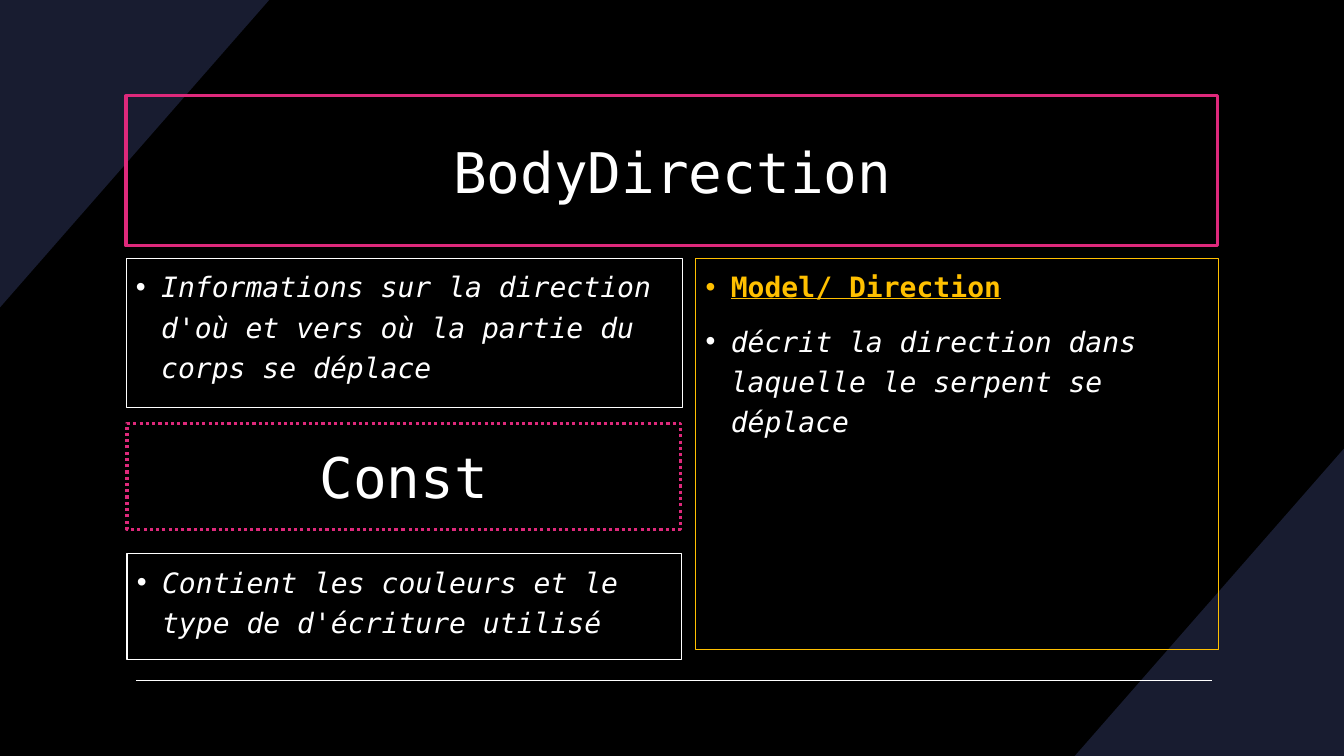
from lxml import etree
from pptx import Presentation
from pptx.dml.color import RGBColor
from pptx.enum.dml import MSO_LINE
from pptx.enum.shapes import MSO_CONNECTOR, MSO_SHAPE
from pptx.enum.text import MSO_ANCHOR, PP_ALIGN
from pptx.oxml.ns import qn
from pptx.util import Inches, Pt

RECTANGLE = MSO_SHAPE.RECTANGLE
STRAIGHT = MSO_CONNECTOR.STRAIGHT
DOTTED = MSO_LINE.ROUND_DOT
TOP, MIDDLE = MSO_ANCHOR.TOP, MSO_ANCHOR.MIDDLE
LEFT, CENTER = PP_ALIGN.LEFT, PP_ALIGN.CENTER

WIDTH, HEIGHT = 13.33, 7.5
CORNER_WIDTH, CORNER_HEIGHT = 2.67, 3.05
FONT = "DejaVu Sans Mono"
BLACK, WHITE, NAVY, PINK, AMBER = "000000", "FFFFFF", "181C30", "DE297B", "FFC000"


def color(hex_string):
    return RGBColor.from_string(hex_string)


def add_corner(slide, x, y, x_direction, y_direction):
    """Fill a triangle whose right angle is at the slide corner (x, y)."""
    builder = slide.shapes.build_freeform(Inches(x), Inches(y))
    builder.add_line_segments([
        (Inches(x + x_direction * CORNER_WIDTH), Inches(y)),
        (Inches(x), Inches(y + y_direction * CORNER_HEIGHT)),
    ])
    triangle = builder.convert_to_shape()
    triangle.shadow.inherit = False
    triangle.fill.solid()
    triangle.fill.fore_color.rgb = color(NAVY)
    triangle.line.fill.background()


def add_background(slide):
    slide.background.fill.solid()
    slide.background.fill.fore_color.rgb = color(BLACK)
    add_corner(slide, WIDTH, HEIGHT, -1, -1)
    add_corner(slide, 0, 0, 1, 1)
    rule = slide.shapes.add_connector(
        STRAIGHT, Inches(1.35), Inches(6.75), Inches(12.02), Inches(6.75))
    rule.line.color.rgb = color(WHITE)
    rule.line.width = Pt(1)
    etree.SubElement(rule._element.spPr, qn("a:effectLst"))


def add_frame(slide, box, line_color, line_width, anchor):
    """Add an unfilled, outlined rectangle and return it."""
    frame = slide.shapes.add_shape(RECTANGLE, *map(Inches, box))
    frame.shadow.inherit = False
    frame.fill.background()
    frame.line.color.rgb = color(line_color)
    frame.line.width = Pt(line_width)
    frame.text_frame.word_wrap = True
    frame.text_frame.vertical_anchor = anchor
    return frame


def format_text(paragraph, size, text_color):
    font = paragraph.runs[0].font
    font.name = FONT
    font.size = Pt(size)
    font.color.rgb = color(text_color)
    return font


def add_heading(slide, box, text):
    frame = add_frame(slide, box, PINK, 2.25, MIDDLE)
    paragraph = frame.text_frame.paragraphs[0]
    paragraph.text = text
    paragraph.alignment = CENTER
    format_text(paragraph, 40, WHITE)
    return frame


def add_bullet(paragraph):
    properties = paragraph._p.get_or_add_pPr()
    properties.set("marL", str(Inches(0.25)))
    properties.set("indent", str(-Inches(0.25)))
    etree.SubElement(properties, qn("a:buFont"), typeface="Arial")
    etree.SubElement(properties, qn("a:buChar"), char="•")


def add_bullet_box(slide, box, description, link=None, line_color=WHITE):
    """List an optional link, then an italic description."""
    text_frame = add_frame(slide, box, line_color, 0.75, TOP).text_frame
    texts = [link, description] if link else [description]
    text_frame.text = "\n".join(texts)
    for index, paragraph in enumerate(text_frame.paragraphs):
        add_bullet(paragraph)
        paragraph.alignment = LEFT
        paragraph.line_spacing = 1.2
        paragraph.space_before = Pt(10 if index else 0)
        is_link = texts[index] == link
        font = format_text(paragraph, 20, AMBER if is_link else WHITE)
        font.bold = font.underline = is_link
        font.italic = not is_link


def main():
    presentation = Presentation()
    presentation.slide_width = Inches(WIDTH)
    presentation.slide_height = Inches(HEIGHT)
    slide = presentation.slides.add_slide(presentation.slide_layouts[6])

    add_background(slide)
    add_heading(slide, (1.25, 0.95, 10.83, 1.49), "BodyDirection")
    add_bullet_box(
        slide, (1.25, 2.56, 5.52, 1.48),
        "Informations sur la direction d'où et vers où la partie du corps se déplace")
    add_bullet_box(
        slide, (6.9, 2.56, 5.19, 3.88),
        "décrit la direction dans laquelle le serpent se déplace",
        link="Model/ Direction", line_color=AMBER)
    const_heading = add_heading(slide, (1.26, 4.2, 5.49, 1.05), "Const")
    const_heading.line.dash_style = DOTTED
    add_bullet_box(
        slide, (1.26, 5.49, 5.5, 1.05),
        "Contient les couleurs et le type de d'écriture utilisé")

    presentation.save("out.pptx")


if __name__ == "__main__":
    main()
